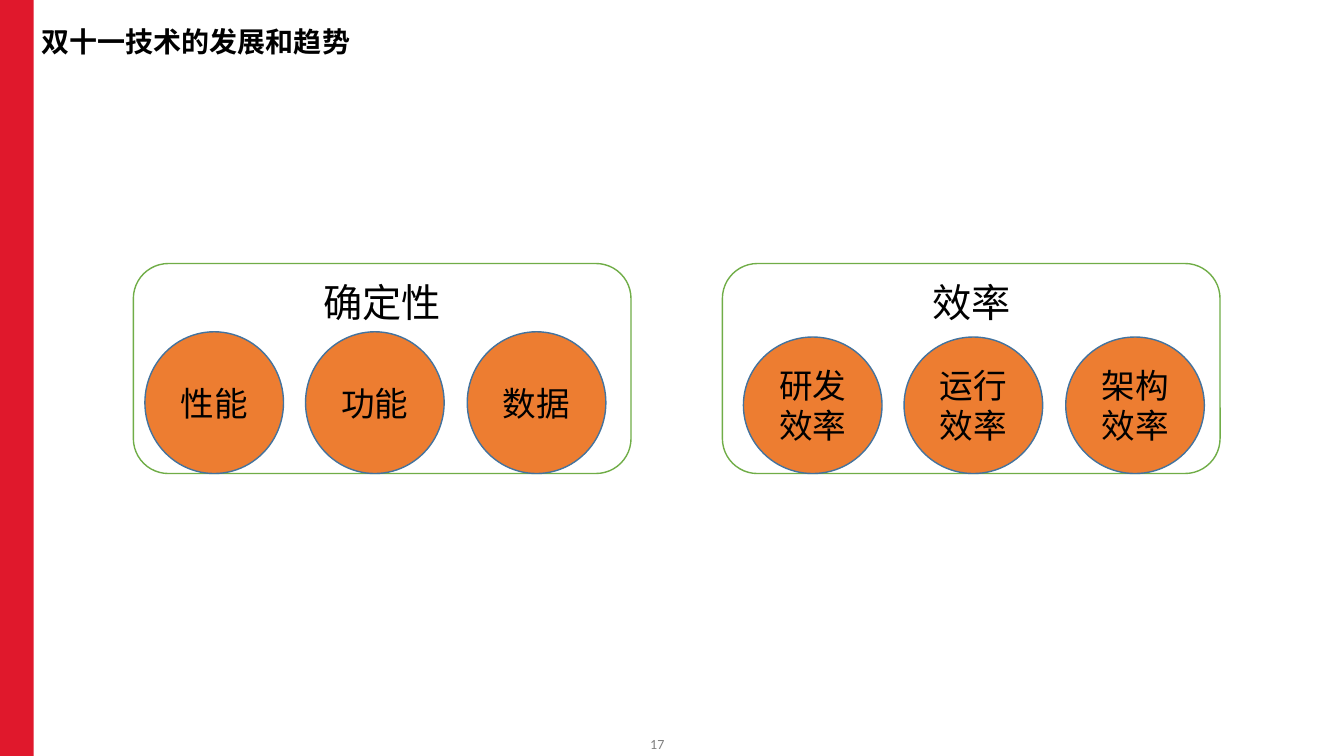
import dataclasses

import pptx
import pptx.dml.color
import pptx.enum.shapes
import pptx.enum.text
import pptx.util

RGB = pptx.dml.color.RGBColor
KIND = pptx.enum.shapes.MSO_SHAPE
ALIGN = pptx.enum.text.PP_ALIGN
ANCHOR = pptx.enum.text.MSO_ANCHOR
FIT = pptx.enum.text.MSO_AUTO_SIZE

RED = RGB(0xE0, 0x18, 0x2C)
GREEN = RGB(0x70, 0xAD, 0x47)
ORANGE = RGB(0xED, 0x7D, 0x31)
BLUE = RGB(0x43, 0x73, 0x9E)
GRAY = RGB(0x80, 0x80, 0x80)
WHITE = RGB(0xFF, 0xFF, 0xFF)
BLACK = RGB(0x00, 0x00, 0x00)

SCALE = 9525  # EMU per px
TOP, WIDE, HIGH = 251, 474, 200  # every card
DISC = 132  # disc width
STEPS = (0, 153, 307)  # disc offsets from the first


@dataclasses.dataclass
class Box:
    left: int
    top: int
    width: int
    height: int

    def emu(self) -> list[pptx.util.Emu]:
        return [pptx.util.Emu(v * SCALE) for v in dataclasses.astuple(self)]


@dataclasses.dataclass
class Card:
    left: int
    head: str
    inset: int  # from card edge to first disc
    tall: int  # disc height
    words: tuple[str, ...]


CARDS = (
    Card(127, "确定性", 11, 135, ("性能", "功能", "数据")),
    Card(688, "效率", 20, 130, ("研发效率", "运行效率", "架构效率")),
)


def write(frame, text: str, size: int, face: str = "Calibri", color: RGB = BLACK,
          align: ALIGN = ALIGN.CENTER, anchor: ANCHOR = ANCHOR.MIDDLE,
          bold: bool = False) -> None:
    frame.text = text
    frame.vertical_anchor = anchor
    par = frame.paragraphs[0]
    par.alignment = align
    par.font.size = pptx.util.Pt(size)
    par.font.name = face
    par.font.bold = bold
    par.font.color.rgb = color


def draw(slide, kind: KIND, box: Box, fill: RGB, line: RGB | None = None):
    shape = slide.shapes.add_shape(kind, *box.emu())
    shape.shadow.inherit = False
    shape.fill.solid()
    shape.fill.fore_color.rgb = fill
    if line is None:
        shape.line.fill.background()
    else:
        shape.line.color.rgb = line
        shape.line.width = pptx.util.Pt(1)
    return shape


def group(slide, card: Card) -> None:
    box = Box(card.left, TOP, WIDE, HIGH)
    panel = draw(slide, KIND.ROUNDED_RECTANGLE, box, WHITE, GREEN)
    write(panel.text_frame, card.head, 28, anchor=ANCHOR.TOP)
    # Discs rest on the lower edge of the card
    for step, word in zip(STEPS, card.words):
        box = Box(card.left + card.inset + step, TOP + HIGH - card.tall, DISC, card.tall)
        disc = draw(slide, KIND.OVAL, box, ORANGE, BLUE)
        write(disc.text_frame, word, 24)


def main() -> None:
    deck = pptx.Presentation()
    deck.slide_width = pptx.util.Emu(1280 * SCALE)
    deck.slide_height = pptx.util.Emu(720 * SCALE)
    slide = deck.slides.add_slide(deck.slide_layouts.get_by_name("Title Only"))

    # Side bar
    draw(slide, KIND.RECTANGLE, Box(0, 0, 32, 720), RED)

    # Page number
    page = slide.shapes.add_textbox(*Box(618, 700, 16, 16).emu()).text_frame
    page.margin_left = page.margin_right = page.margin_top = page.margin_bottom = 0
    page.word_wrap = False
    write(page, "17", 10, color=GRAY)

    # Title
    title = slide.shapes.title
    title.left, title.top, title.width, title.height = Box(30, 14, 907, 50).emu()
    title.text_frame.auto_size = FIT.NONE
    write(title.text_frame, "双十一技术的发展和趋势", 20, "Noto Sans CJK SC",
          align=ALIGN.LEFT, bold=True)

    # Cards
    for card in CARDS:
        group(slide, card)

    deck.save("out.pptx")


if __name__ == "__main__":
    main()
